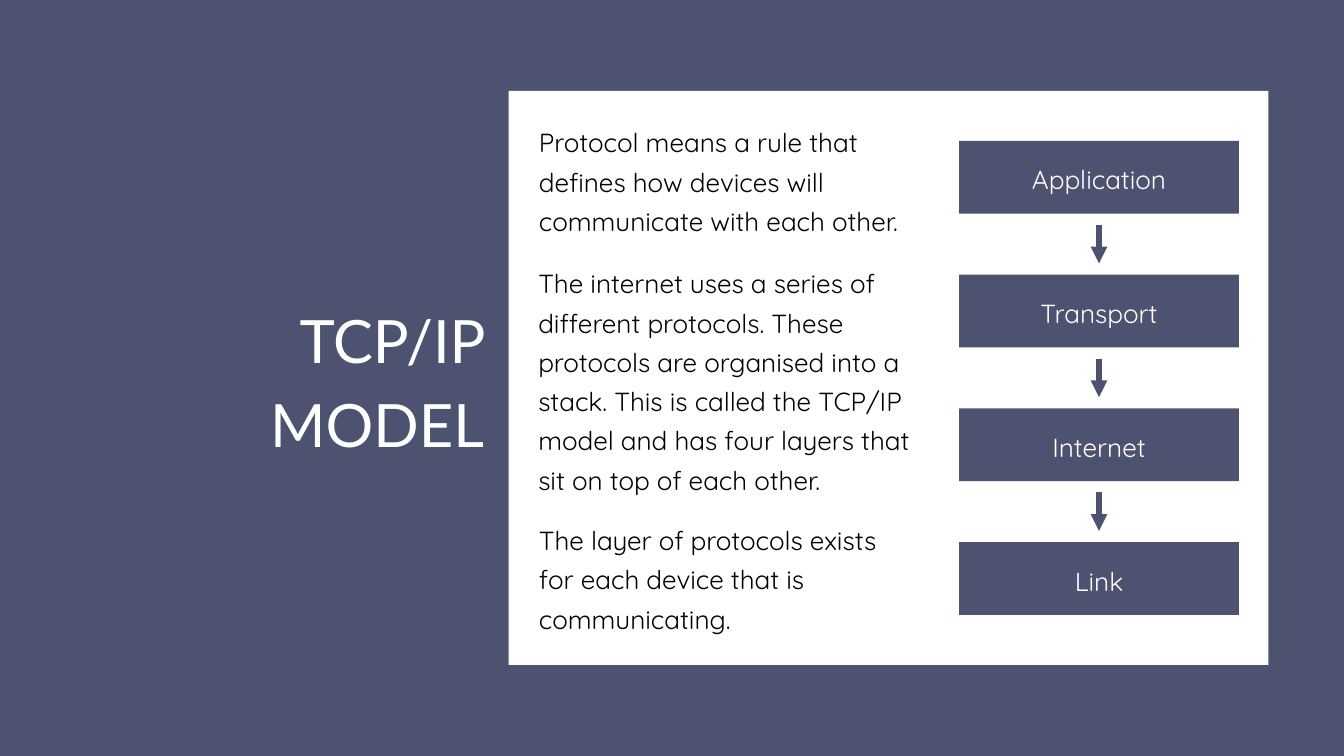
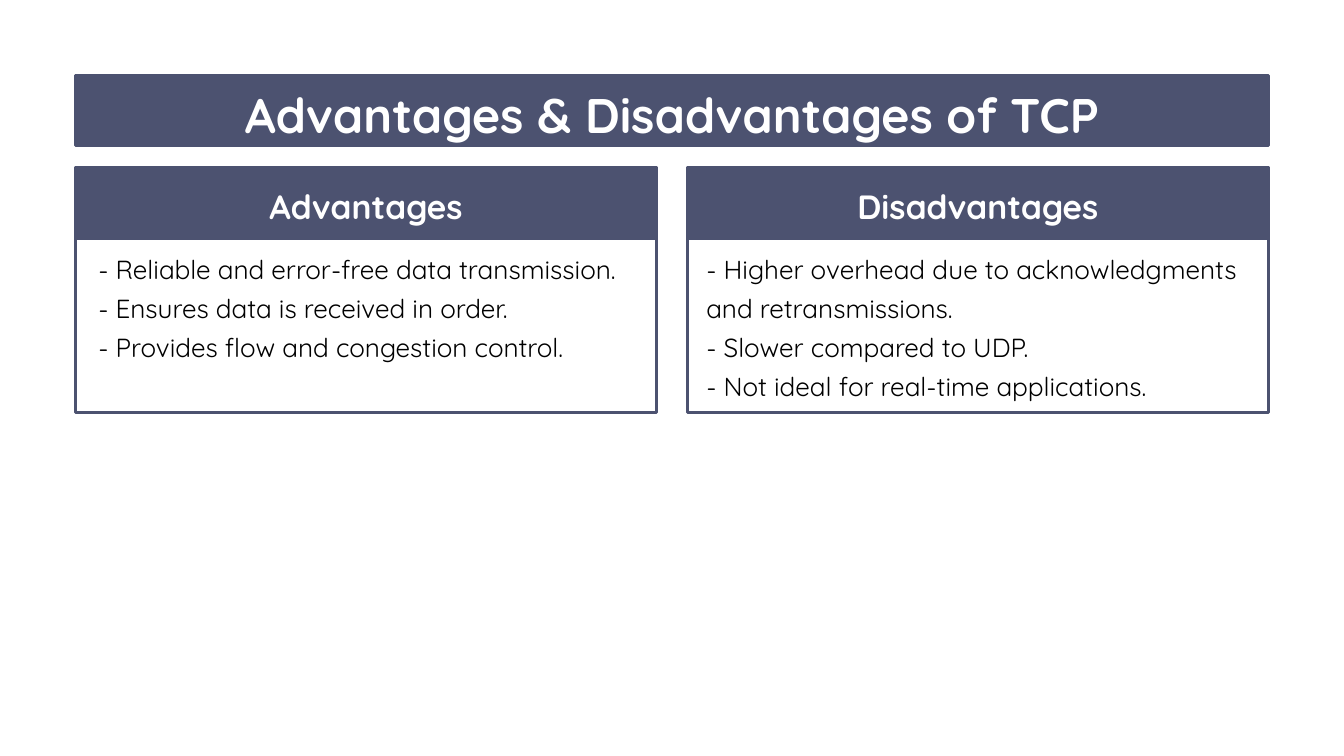
from dataclasses import dataclass

import pptx
import pptx.dml.color
import pptx.enum.shapes
import pptx.enum.text
import pptx.oxml.ns
import pptx.presentation
import pptx.slide
import pptx.util
from lxml import etree

Pt = pptx.util.Pt
Align = pptx.enum.text.PP_ALIGN

COLORS = {"slate": "4C5270", "white": "FFFFFF", "black": "000000"}
SLIDE_WIDTH, SLIDE_HEIGHT = 1440, 810
BORDER_WIDTH = 3.75
TITLE_ONLY = 5


@dataclass(frozen=True)
class Box:
    left: float
    top: float
    width: float
    height: float

    def lengths(self) -> tuple:
        return tuple(Pt(n) for n in (self.left, self.top, self.width, self.height))


@dataclass(frozen=True)
class Style:
    size: float
    spacing: float
    color: str
    align: Align = Align.LEFT
    font: str = "Quicksand"
    bold: bool = False


@dataclass(frozen=True)
class Column:
    heading: str
    points: tuple[str, ...]
    left: float
    inset: float
    body_height: float
    body_style: Style


MODEL_TITLE = Style(64, 89.6, "white", Align.RIGHT, font="Lato")
TCP_TITLE = Style(52, 78, "white", Align.CENTER, bold=True)
HEADING = Style(36, 50.4, "white", Align.CENTER, bold=True)
BODY = Style(28, 42, "black")
JUSTIFIED_BODY = Style(28, 42, "black", Align.JUSTIFY)
LAYER_LABEL = Style(28, 42, "white", Align.CENTER)

EXPLANATIONS = (
    (Box(577.4, 127.4, 404.6, 122.4),
     "Protocol means a rule that defines how devices will communicate with each other."),
    (Box(576.7, 278.6, 406, 245.5),
     "The internet uses a series of different protocols. These protocols are organised "
     "into a stack. This is called the TCP/IP model and has four layers that sit on top "
     "of each other."),
    (Box(577.4, 553.7, 406, 122.4),
     "The layer of protocols exists for each device that is communicating."),
)

LAYERS = ("Application", "Transport", "Internet", "Link")
LAYER_LEFT, LAYER_TOP = 1027.5, 151
LAYER_WIDTH, LAYER_HEIGHT = 300, 78
LAYER_PITCH = 143.28
ARROW_GAP = 12

MARGIN = 81
BAND_WIDTH = SLIDE_WIDTH - 2 * MARGIN
BAND_HEIGHT = 75
COLUMN_WIDTH = 622.4
COLUMNS = (
    Column("Advantages",
           ("- Reliable and error-free data transmission.",
            "- Ensures data is received in order.",
            "- Provides flow and congestion control."),
           MARGIN, 24.3, 122.4, JUSTIFIED_BODY),
    Column("Disadvantages",
           ("- Higher overhead due to acknowledgments and retransmissions.",
            "- Slower compared to UDP.",
            "- Not ideal for real-time applications."),
           MARGIN + BAND_WIDTH - COLUMN_WIDTH, 20.2, 163.4, BODY),
)


def rgb(color: str) -> pptx.dml.color.RGBColor:
    return pptx.dml.color.RGBColor.from_string(COLORS[color])


def write(frame, text: str, style: Style) -> None:
    frame.text = text
    frame.word_wrap = True
    frame.auto_size = pptx.enum.text.MSO_AUTO_SIZE.NONE
    frame.vertical_anchor = pptx.enum.text.MSO_ANCHOR.TOP
    frame.margin_left = frame.margin_right = frame.margin_top = frame.margin_bottom = 0
    for paragraph in frame.paragraphs:
        paragraph.alignment = style.align
        paragraph.line_spacing = Pt(style.spacing)
        for run in paragraph.runs:
            run.font.name = style.font
            run.font.size = Pt(style.size)
            run.font.bold = style.bold
            run.font.color.rgb = rgb(style.color)


def add_text(slide: pptx.slide.Slide, box: Box, text: str, style: Style) -> None:
    write(slide.shapes.add_textbox(*box.lengths()).text_frame, text, style)


def add_panel(slide: pptx.slide.Slide, box: Box, fill: str = "", border: str = "") -> None:
    panel = slide.shapes.add_shape(
        pptx.enum.shapes.MSO_SHAPE.RECTANGLE, *box.lengths())
    panel.shadow.inherit = False
    if fill:
        panel.fill.solid()
        panel.fill.fore_color.rgb = rgb(fill)
    else:
        panel.fill.background()
    if border:
        panel.line.color.rgb = rgb(border)
        panel.line.width = Pt(BORDER_WIDTH)
    else:
        panel.line.fill.background()


def add_down_arrow(slide: pptx.slide.Slide, x: float, top: float, bottom: float) -> None:
    arrow = slide.shapes.add_connector(
        pptx.enum.shapes.MSO_CONNECTOR.STRAIGHT, Pt(x), Pt(top), Pt(x), Pt(bottom))
    arrow.line.color.rgb = rgb("slate")
    arrow.line.width = Pt(6)
    qn = pptx.oxml.ns.qn
    properties = arrow.element.spPr
    etree.SubElement(properties.find(qn("a:ln")), qn("a:tailEnd"), type="triangle")
    etree.SubElement(properties, qn("a:effectLst"))


def add_slide(deck: pptx.presentation.Presentation, background: str) -> pptx.slide.Slide:
    slide = deck.slides.add_slide(deck.slide_layouts[TITLE_ONLY])
    slide.background.fill.solid()
    slide.background.fill.fore_color.rgb = rgb(background)
    return slide


def set_title(slide: pptx.slide.Slide, box: Box, text: str, style: Style) -> None:
    title = slide.shapes.title
    title.left, title.top, title.width, title.height = box.lengths()
    write(title.text_frame, text, style)
    title.element.getparent().append(title.element)


def build_model_slide(deck: pptx.presentation.Presentation) -> None:
    slide = add_slide(deck, "slate")
    add_panel(slide, Box(545, 97.4, 814, 615), fill="white")
    set_title(slide, Box(111, 313, 407.5, 175), "TCP/IP MODEL", MODEL_TITLE)
    for box, text in EXPLANATIONS:
        add_text(slide, box, text, BODY)
    for index, layer in enumerate(LAYERS):
        top = LAYER_TOP + index * LAYER_PITCH
        add_panel(slide, Box(LAYER_LEFT, top, LAYER_WIDTH, LAYER_HEIGHT), fill="slate")
        add_text(slide, Box(LAYER_LEFT + 20.7, top + 16, LAYER_WIDTH - 41.4, 39.6),
                 layer, LAYER_LABEL)
        if index:
            add_down_arrow(slide, LAYER_LEFT + LAYER_WIDTH / 2,
                           top - LAYER_PITCH + LAYER_HEIGHT + ARROW_GAP, top - ARROW_GAP)


def build_tcp_slide(deck: pptx.presentation.Presentation) -> None:
    slide = add_slide(deck, "white")
    add_panel(slide, Box(MARGIN, MARGIN, BAND_WIDTH, BAND_HEIGHT), "slate", "slate")
    set_title(slide, Box(105, 75.6, 1230, 73.5),
              "Advantages & Disadvantages of TCP", TCP_TITLE)
    for column in COLUMNS:
        add_panel(slide, Box(column.left, 180, COLUMN_WIDTH, BAND_HEIGHT), "slate", "slate")
        add_panel(slide, Box(column.left, 217.5, COLUMN_WIDTH, 224.6), border="slate")
        add_text(slide, Box(column.left + 38.7, 191.5, COLUMN_WIDTH - 77.4, 47.5),
                 column.heading, HEADING)
        add_text(slide, Box(column.left + column.inset, 262.8, 578.2, column.body_height),
                 "\n".join(column.points), column.body_style)


def main() -> None:
    deck = pptx.Presentation()
    deck.slide_width, deck.slide_height = Pt(SLIDE_WIDTH), Pt(SLIDE_HEIGHT)
    build_model_slide(deck)
    build_tcp_slide(deck)
    deck.save("out.pptx")


if __name__ == "__main__":
    main()
